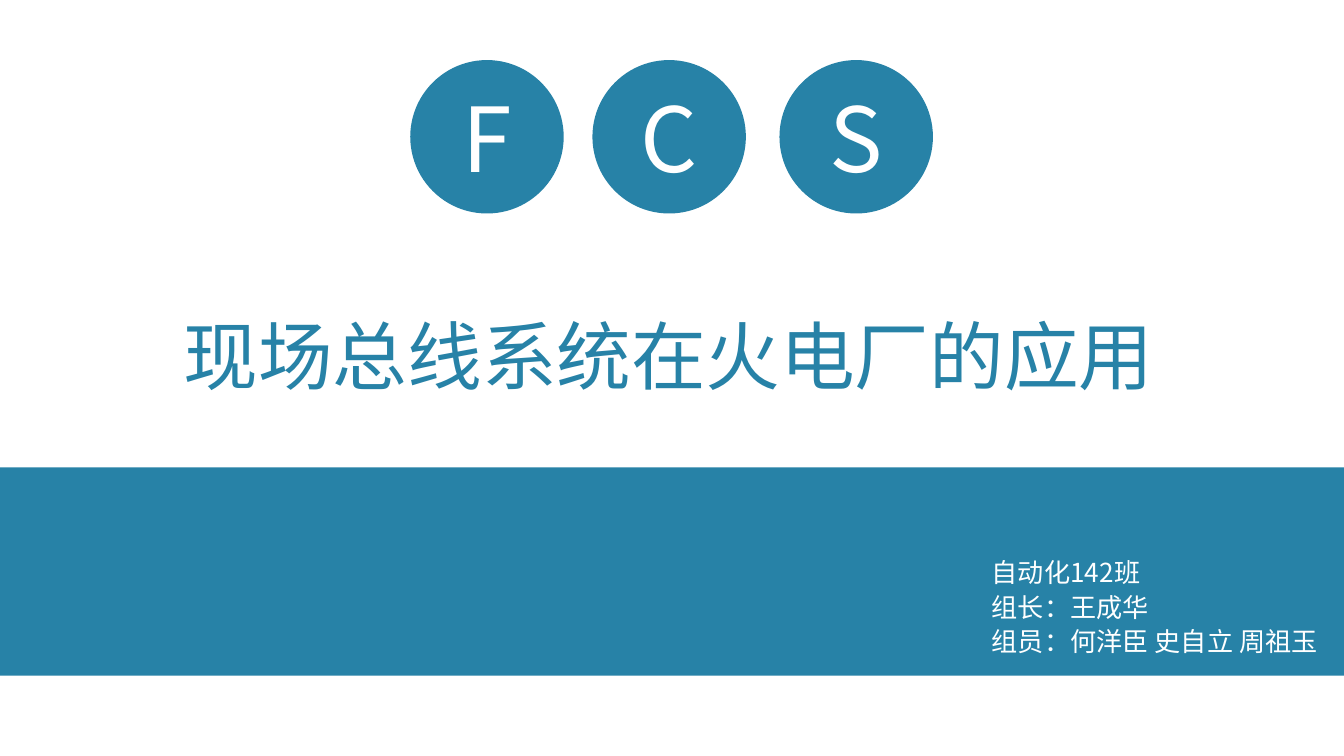
"""Build the title slide of a talk on fieldbus control systems."""
import pptx
import pptx.dml.color
import pptx.enum.shapes
import pptx.enum.text
import pptx.oxml
import pptx.oxml.ns
import pptx.util

Pt = pptx.util.Pt
BLUE = pptx.dml.color.RGBColor(0x27, 0x82, 0xA7)
WHITE = pptx.dml.color.RGBColor(0xFF, 0xFF, 0xFF)
SHAPES = pptx.enum.shapes.MSO_SHAPE
CENTER = pptx.enum.text.PP_ALIGN.CENTER
LEFT = pptx.enum.text.PP_ALIGN.LEFT
MIDDLE = pptx.enum.text.MSO_ANCHOR.MIDDLE
CJK_FONT = "Noto Sans CJK SC"


def add_solid(page, kind, left, top, width, height):
    shape = page.shapes.add_shape(kind, Pt(left), Pt(top), Pt(width), Pt(height))
    shape.shadow.inherit = False
    shape.fill.solid()
    shape.fill.fore_color.rgb = BLUE
    shape.line.fill.background()
    return shape


def write(para, text, color, font_format, para_format):
    for name, value in para_format.items():
        setattr(para, name, value)
    span = para.add_run()
    span.text = text
    for name, value in font_format.items():
        setattr(span.font, name, value)
    span.font.color.rgb = color
    east_asian = pptx.oxml.parse_xml(
        f'<a:ea {pptx.oxml.ns.nsdecls("a")} typeface="{CJK_FONT}"/>')
    span.font._element.find(pptx.oxml.ns.qn("a:latin")).addnext(east_asian)


deck = pptx.Presentation()
deck.slide_width = Pt(720)
deck.slide_height = Pt(405)
page = deck.slides.add_slide(deck.slide_layouts[6])

add_solid(page, SHAPES.RECTANGLE, 0, 250.4, 720, 111.6)

letter_format = {"name": CJK_FONT, "size": Pt(48)}
for letter, left in (("F", 219.8), ("C", 317.4), ("S", 417.6)):
    circle = add_solid(page, SHAPES.OVAL, left, 32.2, 82.2, 82.2)
    circle.text_frame.vertical_anchor = MIDDLE
    write(circle.text_frame.paragraphs[0], letter, WHITE, letter_format,
          {"alignment": CENTER})

title_box = page.shapes.add_textbox(Pt(74.9), Pt(162.7), Pt(566.6), Pt(55.4))
title_box.text_frame.word_wrap = True
write(title_box.text_frame.paragraphs[0], "现场总线系统在火电厂的应用", BLUE,
      {"name": "Arial Narrow", "size": Pt(40)}, {"alignment": CENTER})

team_box = page.shapes.add_textbox(Pt(524.2), Pt(293), Pt(195.8), Pt(63.4))
team_frame = team_box.text_frame
team_frame.word_wrap = True
team_lines = ("自动化142班", "组长：王成华", "组员：何洋臣 史自立 周祖玉")
for index, line in enumerate(team_lines):
    para = team_frame.add_paragraph() if index else team_frame.paragraphs[0]
    write(para, line, WHITE, {"name": CJK_FONT, "size": Pt(14)},
          {"alignment": LEFT, "line_spacing": 1.1})
    properties = para._p.get_or_add_pPr()
    properties.set("marL", str(Pt(27)))
    properties.set("indent", str(Pt(-27)))

deck.save("out.pptx")
